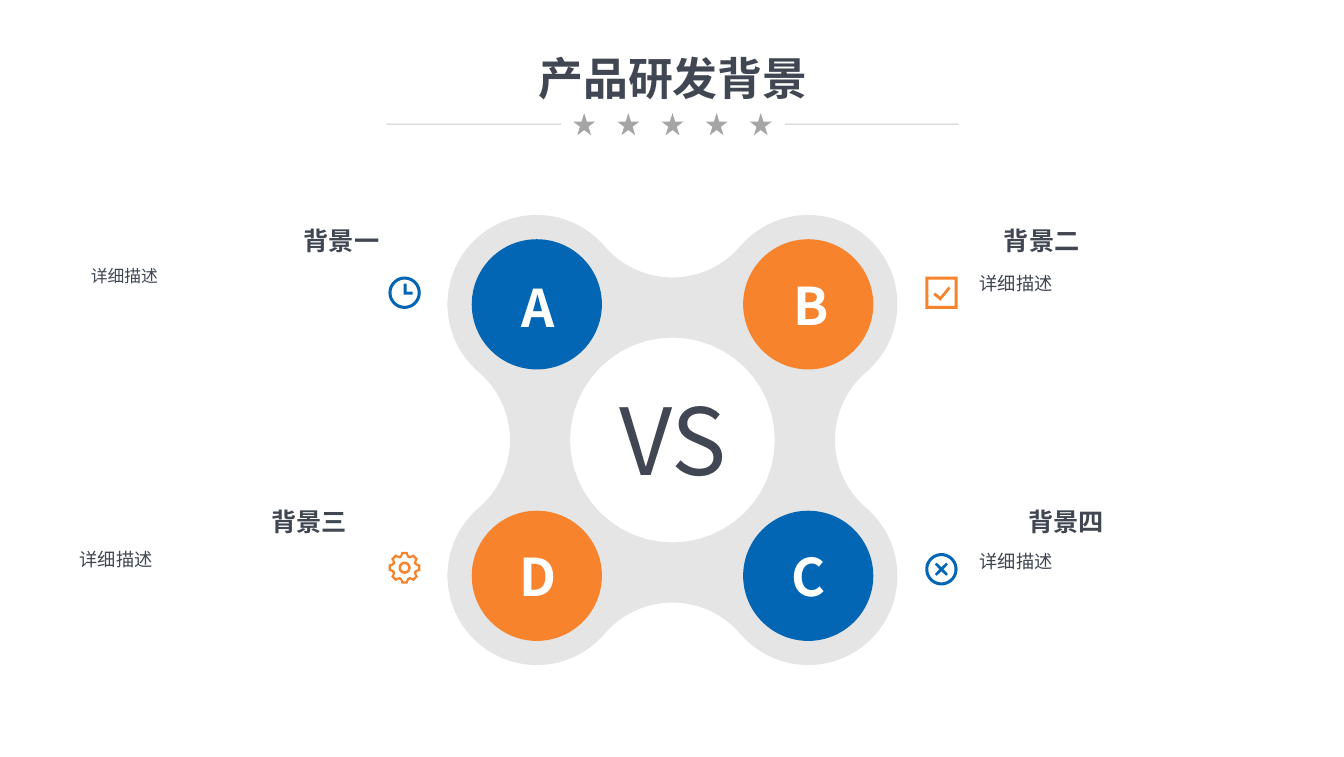
from math import atan2, cos, degrees, radians, sin, sqrt

from lxml.etree import SubElement
from pptx import Presentation
from pptx.dml.color import RGBColor
from pptx.enum.shapes import MSO_CONNECTOR, MSO_SHAPE as Preset
from pptx.enum.text import MSO_AUTO_SIZE as AutoSize, PP_ALIGN as Align
from pptx.oxml.ns import qn
from pptx.util import Inches, Pt

BLACK = RGBColor(0x00, 0x00, 0x00)
WHITE = RGBColor(0xFF, 0xFF, 0xFF)
BLUE = RGBColor(0x02, 0x66, 0xB4)
ORANGE = RGBColor(0xF8, 0x83, 0x2D)
INK = RGBColor(0x40, 0x46, 0x52)
GREY = RGBColor(0xA5, 0xA5, 0xA5)
FONT = "Noto Sans CJK SC"
CENTER_X, CENTER_Y = 6.665, 4.36


# Geometry, in inches around a centre
def polar(radius, angle, origin=(0, 0)):
    turn = radians(angle)
    return origin[0] + radius * cos(turn), origin[1] + radius * sin(turn)


def arc(radius, start=0, end=360, origin=(0, 0), steps=48):
    return [polar(radius, start + (end - start) * i / steps, origin)
            for i in range(steps + 1)]


def square(half):
    return [(-half, -half), (half, -half), (half, half), (-half, half)]


def gear(tip, valley, tip_half, valley_half):
    corners = ((valley, -valley_half), (tip, -tip_half),
               (tip, tip_half), (valley, valley_half))
    return [polar(radius, 45 * tooth + angle)
            for tooth in range(8) for radius, angle in corners]


def clover(lobe_offset, radius):
    """Four round lobes joined by four bays of the same radius."""
    rise = sqrt(4 * radius ** 2 - lobe_offset ** 2)
    joint = degrees(atan2(rise, lobe_offset))
    points = []
    for turn in range(0, 360, 90):
        lobe = polar(lobe_offset * sqrt(2), turn + 45)
        bay = polar(lobe_offset + rise, turn + 90)
        points += arc(radius, turn + joint - 90, turn + 180 - joint, lobe)
        points += arc(radius, turn - joint, turn + joint - 180, bay)
    return points


class SlideWriter:
    def __init__(self, slide, font=FONT):
        self.slide, self.font = slide, font

    def paint(self, shape, color, alpha=None):
        shape.shadow.inherit = False
        shape.fill.solid()
        shape.fill.fore_color.rgb = color
        shape.line.fill.background()
        self.fade(shape, alpha)

    def fade(self, shape, alpha):
        if alpha is not None:
            color = next(shape.element.iter(qn("a:srgbClr")))
            SubElement(color, qn("a:alpha"), val=str(alpha * 1000))

    def preset(self, kind, x, y, size, color):
        shape = self.slide.shapes.add_shape(
            kind, Inches(x), Inches(y), Inches(size), Inches(size))
        self.paint(shape, color)

    def outline(self, center, contours, color, alpha=None):
        placed = [[(Inches(center[0] + x), Inches(center[1] + y)) for x, y in contour]
                  for contour in contours]
        builder = self.slide.shapes.build_freeform(*placed[0][0])
        for index, contour in enumerate(placed):
            if index:
                builder.move_to(*contour[0])
            builder.add_line_segments(contour[1:], close=True)
        self.paint(builder.convert_to_shape(), color, alpha)

    def text(self, words, box, size, color=INK, bold=False, inset=0.05,
             align=Align.CENTER, wrap=False, spacing=None):
        frame = self.slide.shapes.add_textbox(*map(Inches, box)).text_frame
        frame_format = {"word_wrap": wrap, "auto_size": AutoSize.SHAPE_TO_FIT_TEXT}
        for side in ("left", "top", "right", "bottom"):
            frame_format[f"margin_{side}"] = Inches(inset)
        for name, value in frame_format.items():
            setattr(frame, name, value)
        paragraph = frame.paragraphs[0]
        paragraph.alignment, paragraph.line_spacing = align, spacing
        run = paragraph.add_run()
        run.text = words
        run.font.color.rgb = color
        for name, value in {"name": self.font, "size": Pt(size), "bold": bold}.items():
            setattr(run.font, name, value)
        SubElement(run.font._element, qn("a:ea"), typeface=self.font)

    def rule(self, left, right, y):
        line = self.slide.shapes.add_connector(
            MSO_CONNECTOR.STRAIGHT, Inches(left), Inches(y), Inches(right), Inches(y))
        line.line.color.rgb = GREY
        line.line.width = Pt(0.75)
        SubElement(line.element.spPr, qn("a:effectLst"))
        self.fade(line, 60)


def main():
    deck = Presentation()
    deck.slide_width, deck.slide_height = Inches(13.32), Inches(7.5)
    writer = SlideWriter(deck.slides.add_slide(deck.slide_layouts[6]))

    # Clover with a round opening
    writer.outline((CENTER_X, CENTER_Y), [clover(1.345, 0.885), arc(1.015, 360, 0)],
                   BLACK, alpha=10)

    # Lettered discs
    discs = [("A", -1, -1, BLUE, (5.07, 2.66, 0.52, 0.74), False),
             ("B", 1, -1, ORANGE, (7.7, 2.64, 0.67, 0.74), True),
             ("D", -1, 1, ORANGE, (5.07, 5.33, 0.52, 0.74), False),
             ("C", 1, 1, BLUE, (7.75, 5.33, 0.52, 0.74), False)]
    disc = 1.29
    for letter, across, down, color, box, wrap in discs:
        writer.preset(Preset.OVAL, CENTER_X + across * 1.345 - disc / 2,
                      CENTER_Y + down * 1.345 - disc / 2, disc, color)
        writer.text(letter, box, 37, WHITE, bold=True, inset=0.07, wrap=wrap)
    writer.text("VS", (6, 3.75, 1.34, 1.2), 66)

    # Icons: clock, tick box, gear, cross
    ring = [arc(0.16), arc(0.13, 360, 0)]
    clock_hands = [(-0.01, -0.09), (0.02, -0.09), (0.02, -0.01),
                   (0.08, -0.01), (0.08, 0.02), (-0.01, 0.02)]
    tick = [(0.09, -0.04), (0.07, -0.06), (-0.01, 0.04),
            (-0.06, 0), (-0.08, 0.02), (-0.01, 0.08)]
    cross = [polar(radius, 90 * arm + angle) for arm in range(4)
             for radius, angle in ((0.02, 0), (0.08, 36), (0.08, 54))]
    icons = [((4.01, 2.9), BLUE, [ring, [clock_hands]]),
             ((9.33, 2.9), ORANGE, [[square(0.16), square(0.13)[::-1]], [tick]]),
             ((4.01, 5.625), ORANGE,
              [[gear(0.16, 0.13, 11, 18), gear(0.135, 0.105, 6, 16)[::-1]],
               [arc(0.06), arc(0.035, 360, 0)]]),
             ((9.33, 5.64), BLUE, [ring, [cross]])]
    for center, color, parts in icons:
        for contours in parts:
            writer.outline(center, contours, color)

    # Headings and details
    backgrounds = [("背景一", 2.96, 2.18, Align.RIGHT, 0.9, 2.53, 12),
                   ("背景二", 9.9, 2.18, Align.CENTER, 9.71, 2.59, 13),
                   ("背景四", 10.14, 4.97, Align.CENTER, 9.71, 5.34, 13),
                   ("背景三", 2.64, 4.97, Align.RIGHT, 0.79, 5.32, 13)]
    for heading, x, y, align, detail_x, detail_y, size in backgrounds:
        writer.text("详细描述", (detail_x, detail_y, 2.94, size / 40), size,
                    inset=0, align=Align.LEFT, wrap=True, spacing=1.5)
        writer.text(heading, (x, y, 0.85, 0.4), 18, bold=True, align=align)

    # Title with its row of stars
    writer.text("产品研发背景", (5.28, 0.45, 2.78, 0.73), 32, bold=True)
    for star in range(5):
        writer.preset(Preset.STAR_5_POINT, 5.68 + star * 0.4375, 1.12, 0.22, GREY)
    for left, right in ((7.78, 9.5), (3.83, 5.56)):
        writer.rule(left, right, 1.23)

    deck.save("out.pptx")


if __name__ == "__main__":
    main()
